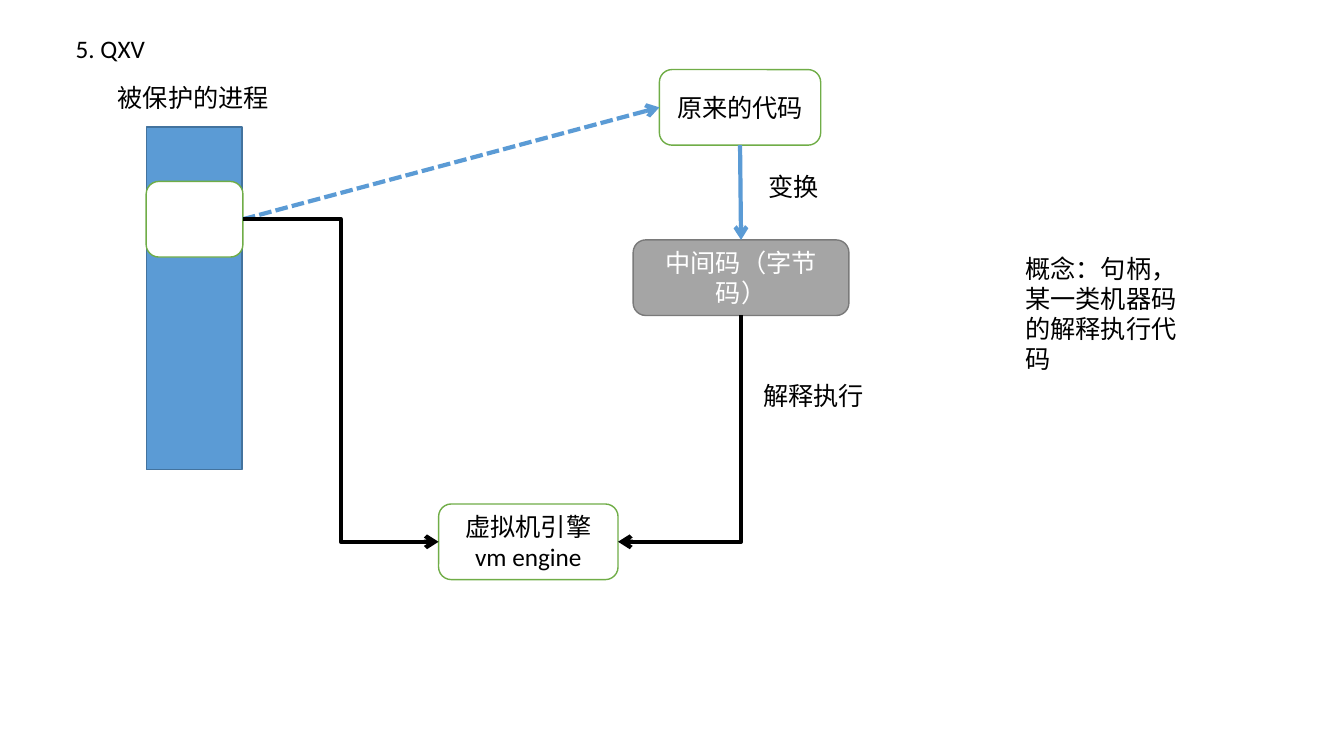
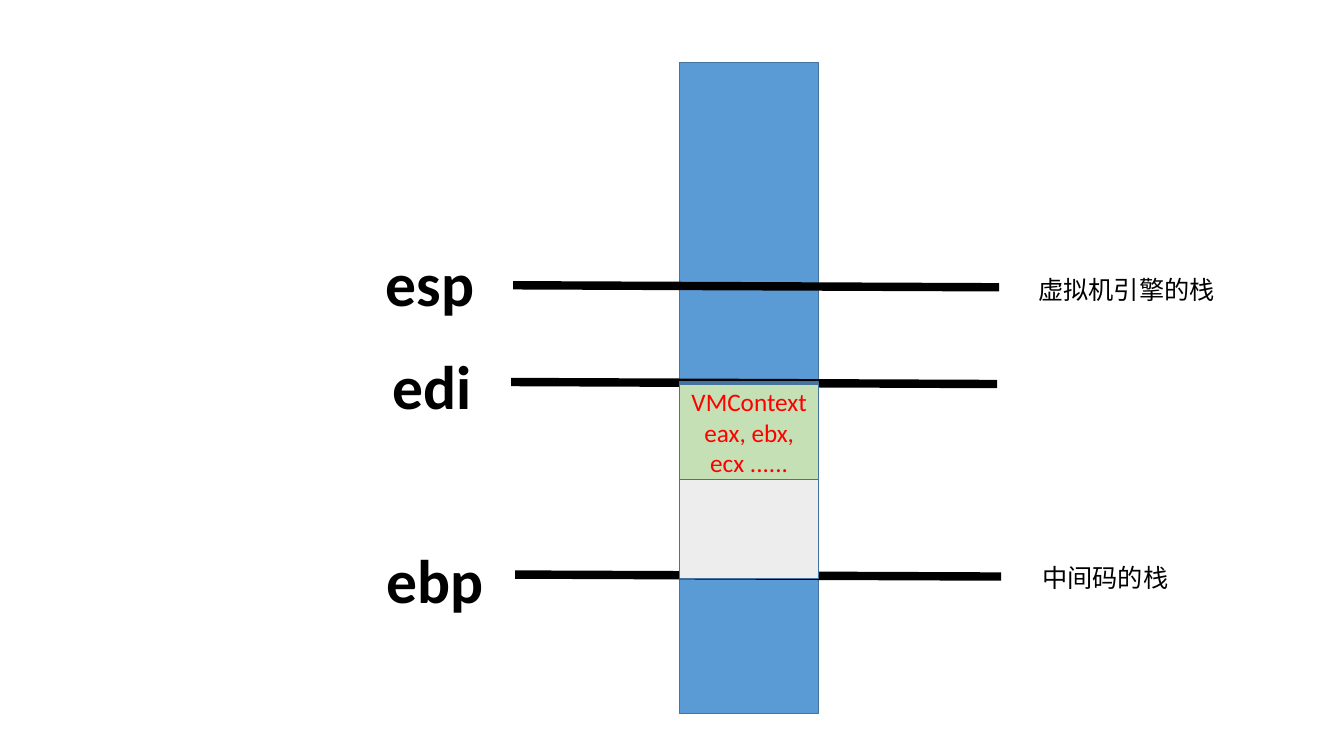
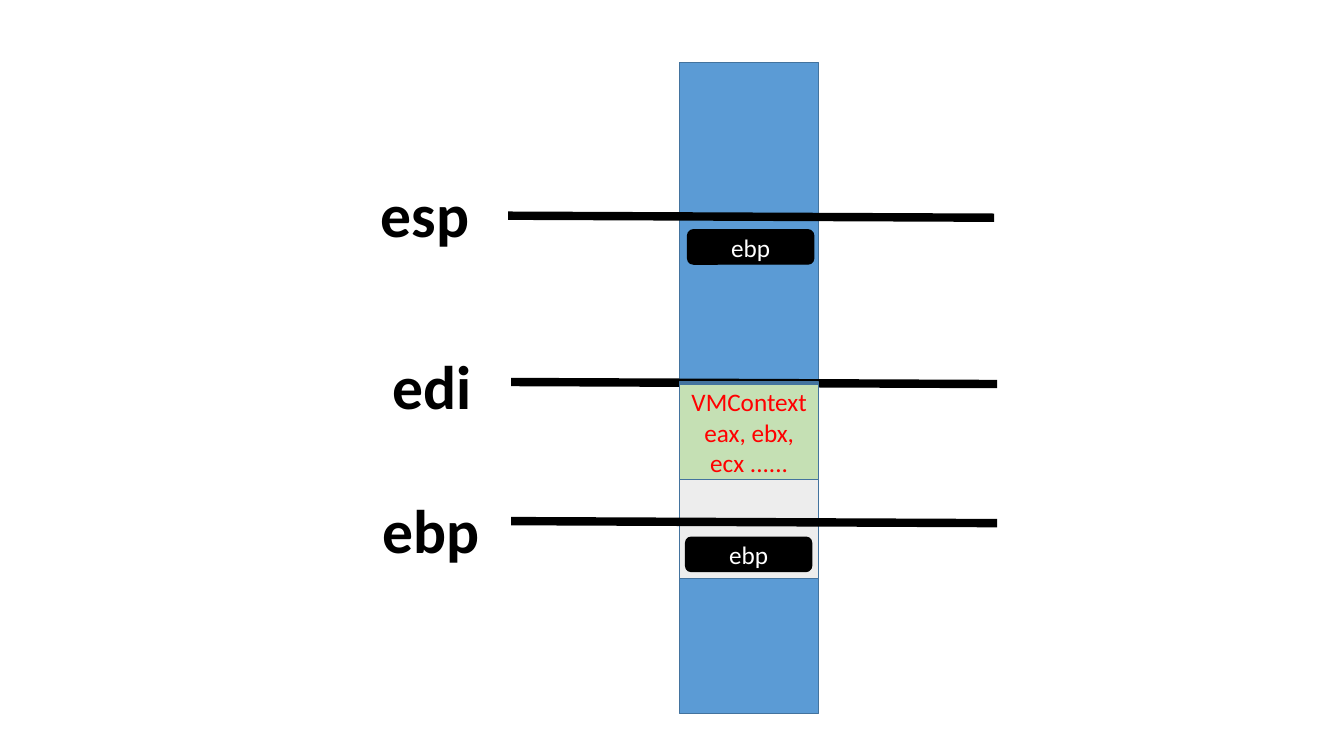
"""Build three slides on how a virtual machine protects code."""
from lxml import etree
from pptx import Presentation, util as u
from pptx.dml.color import RGBColor
from pptx.enum import dml, shapes, text
from pptx.oxml.ns import qn

FONT = "Calibri"
BLACK, WHITE, RED = "000000", "FFFFFF", "FF0000"
BLUE, NAVY = "5B9BD5", "43739E"
GREEN, PALE = "70AD47", "C5E0B4"
GRAY, DARK, LIGHT = "A5A5A5", "7A7A7A", "EDEDED"
RECT = shapes.MSO_SHAPE.RECTANGLE
ROUND = shapes.MSO_SHAPE.ROUNDED_RECTANGLE
LINK = shapes.MSO_CONNECTOR
TOP, LEFT, BOTTOM, RIGHT = range(4)
STACK_X, STACK_W = 6.74, 1.38
RULE_W, RULE_DROP = 4.82, 0.02


def color(part, value):
    """Give a fill a solid colour, or a line or font its colour."""
    if hasattr(part, "solid"):
        part.solid()
        part = part.fore_color
    elif hasattr(part, "color"):
        part = part.color
    part.rgb = RGBColor.from_string(value)


def write(frame, words, size=18, ink=BLACK, bold=False, align="LEFT", anchor="TOP"):
    """Fill a text frame, one paragraph for each line of words."""
    frame.text = words
    frame.vertical_anchor = getattr(text.MSO_ANCHOR, anchor)
    for para in frame.paragraphs:
        para.alignment = getattr(text.PP_ALIGN, align)
        for run in para.runs:
            run.font.name = FONT
            run.font.size = u.Pt(size)
            run.font.bold = bold
            color(run.font, ink)


def place(shape, *area):
    """Move a shape to left, top, width and height in inches."""
    shape.left, shape.top, shape.width, shape.height = map(u.Inches, area)


def title(slide, words, *area):
    """Set the slide title in its placeholder."""
    place(slide.shapes.title, *area)
    frame = slide.shapes.title.text_frame
    frame.auto_size = text.MSO_AUTO_SIZE.NONE
    write(frame, words)


def label(slide, words, *area, wrap=True, **style):
    """Add a text box."""
    frame = slide.shapes.add_textbox(*map(u.Inches, area)).text_frame
    frame.word_wrap = wrap
    frame.auto_size = text.MSO_AUTO_SIZE.SHAPE_TO_FIT_TEXT
    write(frame, words, **style)


def box(slide, kind, area, fill, edge, words="", ink=BLACK):
    """Add a filled and outlined shape with centred text."""
    shape = slide.shapes.add_shape(kind, *map(u.Inches, area))
    shape.shadow.inherit = False
    color(shape.fill, fill)
    color(shape.line, edge)
    shape.line.width = u.Pt(1)
    if words:
        write(shape.text_frame, words, ink=ink, align="CENTER", anchor="MIDDLE")
    return shape


def line(slide, start, end, ink=BLACK, width=6, kind=LINK.STRAIGHT):
    """Add a plain line between two points in inches."""
    link = slide.shapes.add_connector(kind, *map(u.Inches, start + end))
    color(link.line, ink)
    link.line.width = u.Pt(width)
    etree.SubElement(link._element.spPr, qn("a:effectLst"))
    return link


def arrow(slide, source, side, target, goal, ink=BLACK, kind=LINK.STRAIGHT, dash=None):
    """Add an arrow glued to one side of each of two shapes."""
    link = line(slide, (0, 0), (1, 1), ink, 3, kind)
    link.begin_connect(source, side)
    link.end_connect(target, goal)
    if dash:
        link.line.dash_style = dash
    tail = etree.SubElement(link.line._get_or_add_ln(), qn("a:tailEnd"))
    tail.set("type", "arrow")
    return link


def corner(link):
    """Turn an elbow so that it runs down and then left, with one bend."""
    wide, high = link.width, link.height
    left = link.left + (wide - high) // 2
    top = link.top + (high - wide) // 2
    link.left, link.top, link.width, link.height = left, top, high, wide
    props = link._element.spPr
    props.find(qn("a:prstGeom")).set("prst", "bentConnector2")
    frame = props.find(qn("a:xfrm"))
    frame.attrib.pop("flipH", None)
    frame.set("rot", "5400000")


def rule(slide, left, top):
    """Add the thick line that marks a stack address."""
    line(slide, (left, top), (left + RULE_W, top + RULE_DROP))


def stack(slide, rules, names):
    """Draw the stack, the rules behind its frames and the register names."""
    def part(top, high, fill, *words):
        """Add one frame of the stack."""
        box(slide, RECT, (STACK_X, top, STACK_W, high), fill, NAVY, *words)

    part(0.62, 6.46, BLUE)
    for left, top in rules:
        rule(slide, left, top)
    part(3.79, 1.95, LIGHT)
    part(3.81, 0.95, PALE, "VMContext\neax, ebx, ecx ......", RED)
    for name, left, top, wide in names:
        label(slide, name, left, top, wide, 0.84, wrap=False, size=44, bold=True)


def engine(slide):
    """Show how protected code reaches the engine."""
    title(slide, "5. QXV", 0.65, 0.28, 8.07, 0.4)
    box(slide, RECT, (1.45, 1.26, 0.95, 3.4), BLUE, NAVY)
    hole = box(slide, ROUND, (1.45, 1.8, 0.96, 0.75), WHITE, GREEN)
    code = box(slide, ROUND, (6.54, 0.69, 1.6, 0.75), WHITE, GREEN, "原来的代码")
    bytecode = box(slide, ROUND, (6.28, 2.38, 2.14, 0.75), GRAY, DARK,
                   "中间码（字节码）", WHITE)
    core = box(slide, ROUND, (4.35, 5, 1.78, 0.75), WHITE, GREEN,
               "虚拟机引擎\nvm engine")
    arrow(slide, hole, RIGHT, code, LEFT, BLUE, dash=dml.MSO_LINE.SQUARE_DOT)
    arrow(slide, hole, RIGHT, core, LEFT, kind=LINK.ELBOW)
    corner(arrow(slide, bytecode, BOTTOM, core, RIGHT, kind=LINK.ELBOW))
    arrow(slide, code, BOTTOM, bytecode, TOP, BLUE)
    label(slide, "解释执行", 7.47, 3.72, 3.1, 0.4)
    label(slide, "变换", 7.52, 1.65, 1.88, 0.4)
    label(slide, "被保护的进程", 1.07, 0.77, 1.97, 0.4)
    label(slide, "概念：句柄，某一类机器码的解释执行代码", 10.07, 2.46, 1.86, 1.31)


def layout(slide):
    """Show the two stacks and their registers."""
    stack(slide, [(5.11, 5.7), (5.07, 3.79), (5.09, 2.83)],
          [("ebp", 3.74, 5.33, 1.17), ("edi", 3.79, 3.4, 0.99),
           ("esp", 3.73, 2.38, 1.09)])
    label(slide, "中间码的栈", 10.24, 5.53, 3.37, 0.4)
    label(slide, "虚拟机引擎的栈", 10.2, 2.67, 1.95, 0.4, wrap=False)


def pushed(slide):
    """Show the stacks after ebp is pushed on each."""
    stack(slide, [(5.07, 3.79), (5.04, 2.14)],
          [("ebp", 3.7, 4.83, 1.17), ("edi", 3.79, 3.4, 0.99),
           ("esp", 3.68, 1.7, 1.09)])
    for left, top in [(6.82, 2.28), (6.8, 5.33)]:
        box(slide, ROUND, (left, top, 1.25, 0.34), BLACK, BLACK, "ebp", WHITE)
    rule(slide, 5.07, 5.17)


def main():
    """Build and save the deck."""
    deck = Presentation()
    deck.slide_width, deck.slide_height = u.Inches(13.33), u.Inches(7.5)
    for draw, index in [(engine, 5), (layout, 6), (pushed, 6)]:
        draw(deck.slides.add_slide(deck.slide_layouts[index]))
    deck.save("out.pptx")


if __name__ == "__main__":
    main()
